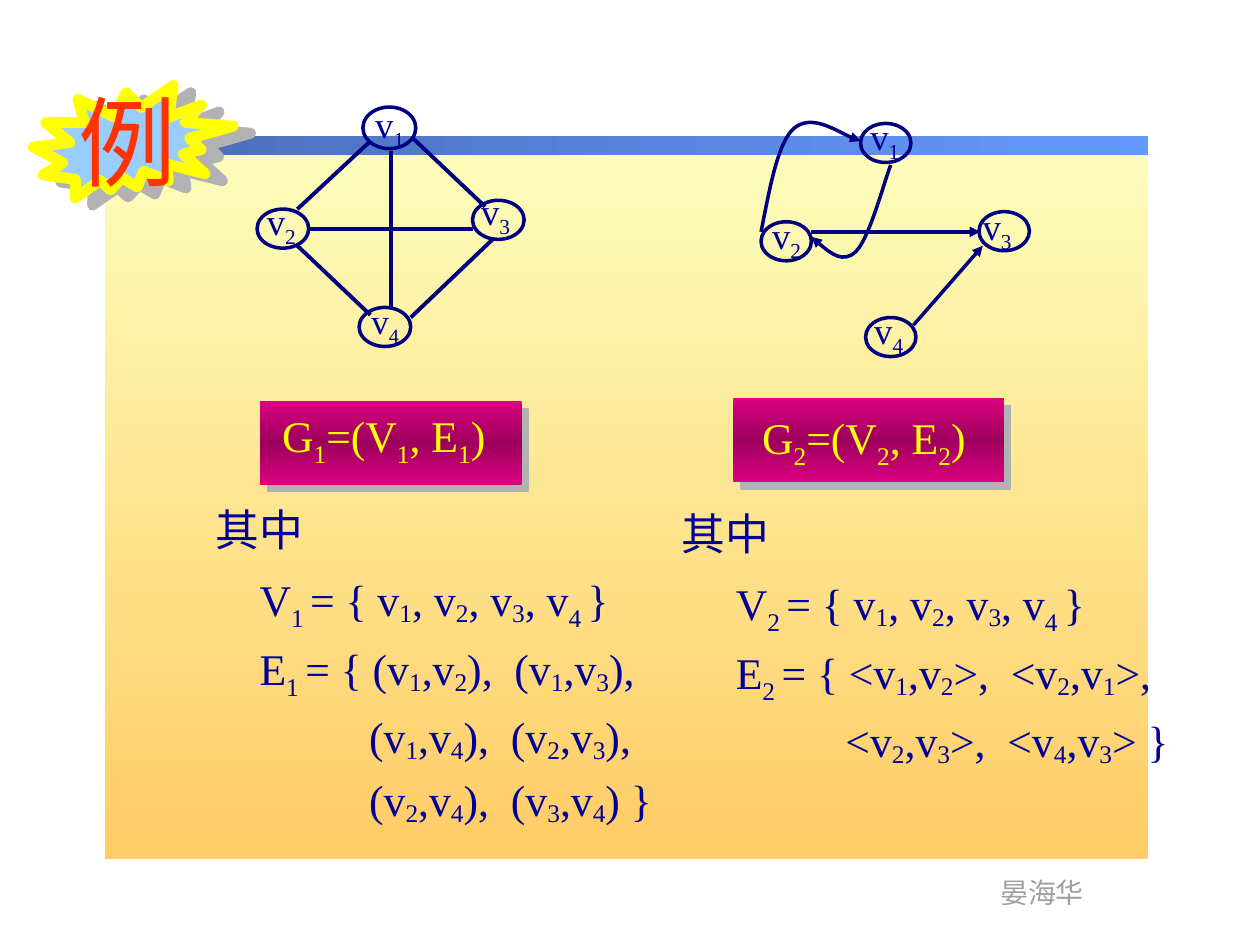
"""Build a slide comparing an undirected graph and a directed graph with their set notation."""
from lxml import etree
from pptx import Presentation
from pptx.dml.color import RGBColor
from pptx.enum.shapes import MSO_CONNECTOR, MSO_SHAPE
from pptx.enum.text import MSO_ANCHOR, MSO_AUTO_SIZE, PP_ALIGN
from pptx.oxml.ns import qn
from pptx.util import Inches, Pt

RECTANGLE, OVAL, BURST = MSO_SHAPE.RECTANGLE, MSO_SHAPE.OVAL, MSO_SHAPE.EXPLOSION2
STRAIGHT = MSO_CONNECTOR.STRAIGHT
TOP, MIDDLE = MSO_ANCHOR.TOP, MSO_ANCHOR.MIDDLE
FIXED, CENTER = MSO_AUTO_SIZE.NONE, PP_ALIGN.CENTER

COLORS = {
    "panel_top": "FCFEBC", "panel_bottom": "FFCC66",
    "bar_left": "496DB6", "bar_right": "6699FF",
    "formula_edge": "DC0081", "formula_middle": "9D005C", "formula_text": "FFFF00",
    "burst": "99CCFF", "burst_line": "FFFF00", "title": "FF3300",
    "shadow": "B2B2B2", "graph": "000080", "text": "000099", "author": "9F9F9F",
}
SERIF, SANS, NARROW = "Times New Roman", "Noto Sans CJK SC", "Arial Narrow"
TITLE, AUTHOR = "例", "晏海华"
SET_INDENT, PAIR_INDENT = 0.43, 1.3

# Underscores switch between normal and subscript text.
GRAPHS = [
    {
        "nodes": [
            ("v_1", (2.88, 0.85, 0.42, 0.33), (2.88, 0.76), 21),
            ("v_2", (2.04, 1.66, 0.41, 0.31), (2.02, 1.53), 21),
            ("v_3", (3.75, 1.59, 0.41, 0.31), (3.72, 1.45), 21),
            ("v_4", (2.85, 2.44, 0.41, 0.31), (2.85, 2.33), 20),
        ],
        "edges": [
            (2.36, 1.66, 2.94, 1.12), (2.45, 1.82, 3.75, 1.82), (3.1, 1.2, 3.1, 2.44),
            (3.28, 1.1, 3.85, 1.64), (3.26, 2.52, 3.91, 1.9), (2.36, 1.95, 2.94, 2.5),
        ],
        "curves": [],
        "directed": False, "edge_width": 2.25,
        "formula": "G_1_=(V_1_, E_1_)",
        "formula_box": (2.06, 3.18, 2.08, 0.67), "formula_text_box": (2.05, 3.22, 2.24, 0.52),
        "sets_box": (1.53, 3.94, 3.79, 2.52),
        "sets": [
            ("其中", 0.08, SANS),
            ("V_1 _= { v_1_, v_2_, v_3_, v_4 _}", SET_INDENT, SERIF),
            ("E_1 _= { (v_1_,v_2_),  (v_1_,v_3_),", SET_INDENT, SERIF),
            ("(v_1_,v_4_),  (v_2_,v_3_),", PAIR_INDENT, SERIF),
            ("(v_2_,v_4_),  (v_3_,v_4_) }", PAIR_INDENT, SERIF),
        ],
    },
    {
        "nodes": [
            ("v_1", (6.83, 0.98, 0.4, 0.31), (6.81, 0.85), 21),
            ("v_2", (6.04, 1.76, 0.4, 0.31), (6.03, 1.64), 21),
            ("v_3", (7.77, 1.68, 0.4, 0.31), (7.7, 1.57), 21),
            ("v_4", (6.87, 2.52, 0.4, 0.31), (6.84, 2.39), 21),
        ],
        "edges": [(6.44, 1.84, 7.78, 1.84), (7.25, 2.58, 7.8, 1.95)],
        "curves": [
            [(6.04, 1.84), (6.11, 1.49), (6.17, 1.14), (6.3, 1.02),
             (6.44, 0.9), (6.74, 1.1), (6.83, 1.12)],
            [(7.07, 1.31), (7.02, 1.43), (6.9, 1.9), (6.79, 2),
             (6.69, 2.09), (6.56, 1.99), (6.44, 1.88)],
        ],
        "directed": True, "edge_width": 2,
        "formula": "G_2_=(V_2_, E_2_)",
        "formula_box": (5.82, 3.16, 2.15, 0.67), "formula_text_box": (5.86, 3.24, 2.09, 0.52),
        "sets_box": (5.31, 3.97, 4.12, 2.04),
        "sets": [
            ("其中", 0, SERIF),
            ("V_2 _= { v_1_, v_2_, v_3_, v_4 _}", SET_INDENT, SERIF),
            ("E_2 _= { <v_1_,v_2_>,  <v_2_,v_1_>,", SET_INDENT, SERIF),
            ("<v_2_,v_3_>,  <v_4_,v_3_> }", PAIR_INDENT, SERIF),
        ],
    },
]


def rgb(name):
    return RGBColor.from_string(COLORS[name])


def place(shape, box):
    shape.left, shape.top, shape.width, shape.height = map(Inches, box)


def add_filled(shapes, kind, box, stops=None, angle=0):
    shape = shapes.add_shape(kind, *map(Inches, box))
    shape.shadow.inherit = False
    shape.line.fill.background()
    if stops is None:
        shape.fill.background()
        return shape
    shape.fill.gradient()
    shape.fill.gradient_angle = -angle % 360
    stop_list = shape._element.spPr.find(qn("a:gradFill")).find(qn("a:gsLst"))
    for old_stop in list(stop_list):
        stop_list.remove(old_stop)
    for index, name in enumerate(stops):
        position = str(100000 * index // (len(stops) - 1))
        stop = etree.SubElement(stop_list, qn("a:gs"), pos=position)
        etree.SubElement(stop, qn("a:srgbClr"), val=COLORS[name])
    return shape


def add_shadow(shape, distance, degrees):
    effects = shape._element.spPr.find(qn("a:effectLst"))
    shadow = etree.SubElement(effects, qn("a:outerShdw"), dist=str(Pt(distance)),
                              dir=str(degrees * 60000), algn="ctr", rotWithShape="0")
    etree.SubElement(shadow, qn("a:srgbClr"), val=COLORS["shadow"])


def style_line(shape, width, arrow=False):
    shape.line.color.rgb = rgb("graph")
    shape.line.width = Pt(width)
    if arrow:
        etree.SubElement(shape.line._get_or_add_ln(), qn("a:tailEnd"), type="triangle")


def write(paragraph, markup, size, color, font=SERIF, depth=25):
    for index, piece in enumerate(markup.split("_")):
        if not piece:
            continue
        run = paragraph.add_run()
        run.text = piece
        run.font.size, run.font.name = Pt(size), font
        run.font.color.rgb = rgb(color)
        if index % 2:
            lowered = 25 if piece.endswith(" ") else depth
            run._r.get_or_add_rPr().set("baseline", str(-1000 * lowered))


def indent(paragraph, inches):
    properties = paragraph._p.get_or_add_pPr()
    properties.set("marL", str(Inches(inches)))
    properties.set("indent", "0")


def add_label(shapes, box, markup, size, color, font=SERIF, wrap=False):
    label = shapes.add_textbox(*map(Inches, box))
    label.text_frame.word_wrap = wrap
    write(label.text_frame.paragraphs[0], markup, size, color, font)
    return label


def add_curve(shapes, points, width):
    start, *rest = [(Inches(x), Inches(y)) for x, y in points]
    builder = shapes.build_freeform(*start)
    builder.add_line_segments(rest, close=False)
    curve = builder.convert_to_shape()
    curve.shadow.inherit = False
    curve.fill.background()
    segments = list(curve._element.iter(qn("a:lnTo")))
    for first, second, third in zip(segments[::3], segments[1::3], segments[2::3]):
        first.tag = qn("a:cubicBezTo")
        for segment in (second, third):
            first.append(segment[0])
            segment.getparent().remove(segment)
    style_line(curve, width, arrow=True)


def add_graph(shapes, graph, sets):
    for name, oval_box, label_corner, size in graph["nodes"]:
        style_line(add_filled(shapes, OVAL, oval_box), 2)
        add_label(shapes, (*label_corner, 0.44, 0.45), name, size, "text")
    for ends in graph["edges"]:
        edge = shapes.add_connector(STRAIGHT, *map(Inches, ends))
        style_line(edge, graph["edge_width"], graph["directed"])
        etree.SubElement(edge._element.spPr, qn("a:effectLst"))
    for points in graph["curves"]:
        add_curve(shapes, points, graph["edge_width"])

    formula_stops = ("formula_edge", "formula_middle", "formula_edge")
    add_shadow(add_filled(shapes, RECTANGLE, graph["formula_box"], formula_stops, 90), 5.7, 45)
    formula = add_label(shapes, graph["formula_text_box"], graph["formula"], 25,
                        "formula_text", wrap=True)
    formula.text_frame.vertical_anchor = MIDDLE
    indent(formula.text_frame.paragraphs[0], 0.09)

    place(sets, graph["sets_box"])
    frame = sets.text_frame
    frame.word_wrap, frame.auto_size, frame.vertical_anchor = True, FIXED, TOP
    for index, (markup, margin, font) in enumerate(graph["sets"]):
        paragraph = frame.add_paragraph() if index else frame.paragraphs[0]
        paragraph.line_spacing = 1.15 if index else 1.0
        paragraph.space_before, paragraph.space_after = Pt(0), Pt(0 if index else 5)
        indent(paragraph, margin)
        etree.SubElement(paragraph._p.get_or_add_pPr(), qn("a:buNone"))
        write(paragraph, markup, 25, "text", font, depth=14)
    shapes._spTree.append(sets._element)


def main():
    deck = Presentation()
    deck.slide_width, deck.slide_height = Inches(10), Inches(7.5)
    slide = deck.slides.add_slide(deck.slide_layouts[3])
    shapes = slide.shapes
    title, *set_lists = list(slide.placeholders)

    add_filled(shapes, RECTANGLE, (0.83, 1.1, 8.28, 5.72), ("panel_top", "panel_bottom"), 90)
    add_filled(shapes, RECTANGLE, (0.84, 1.08, 8.27, 0.15), ("bar_left", "bar_right"))
    add_label(shapes, (7.84, 6.9, 0.87, 0.37), AUTHOR, 16, "author", NARROW)

    burst = add_filled(shapes, BURST, (0.27, 0.66, 1.57, 0.94))
    burst.rotation = 3.8
    burst.fill.solid()
    burst.fill.fore_color.rgb = rgb("burst")
    burst.line.color.rgb = rgb("burst_line")
    burst.line.width = Pt(6.25)
    add_shadow(burst, 10.8, 22)

    place(title, (0.52, 0.6, 0.98, 1.03))
    frame = title.text_frame
    frame.word_wrap, frame.auto_size, frame.vertical_anchor = False, FIXED, MIDDLE
    frame.paragraphs[0].alignment = CENTER
    write(frame.paragraphs[0], TITLE, 56, "title")
    shapes._spTree.append(title._element)

    for graph, sets in zip(GRAPHS, set_lists):
        add_graph(shapes, graph, sets)
    deck.save("out.pptx")


if __name__ == "__main__":
    main()
